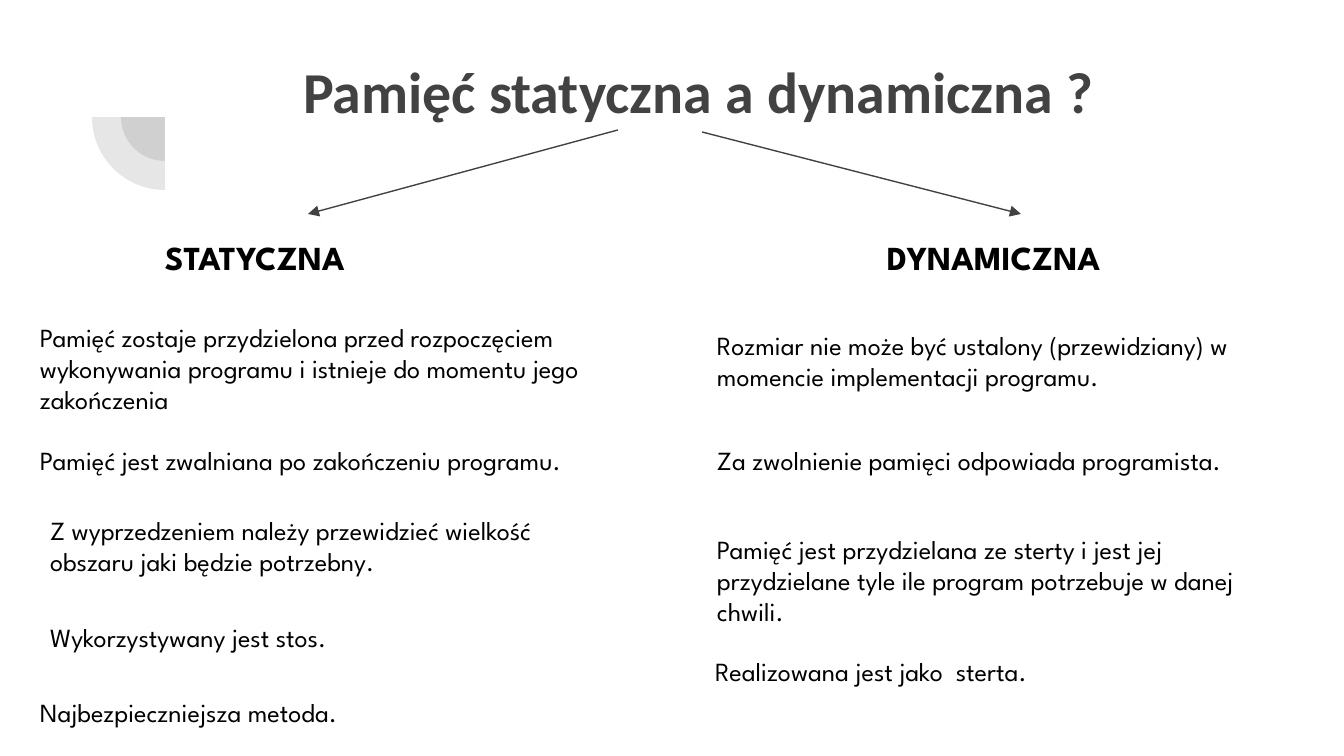
from lxml.etree import SubElement
from pptx import Presentation
from pptx.dml.color import RGBColor
from pptx.enum.shapes import MSO_CONNECTOR, MSO_SHAPE
from pptx.enum.text import MSO_ANCHOR, MSO_AUTO_SIZE, PP_ALIGN
from pptx.oxml.ns import qn
from pptx.util import Pt

GREY = RGBColor(0x42, 0x42, 0x42)
BLACK = RGBColor(0, 0, 0)
HEAD, BODY = "Calibri", "League Spartan"
SCALE = 9144000 / 1344  # EMU in one px
INSET = 13

TITLE = "Pamięć statyczna a dynamiczna ?"

# Column headings and notes: left, top, width, height, text
HEADS = [
    (152, 224, 292, 67, "STATYCZNA"),
    (874, 224, 292, 67, "DYNAMICZNA"),
]
NOTES = [
    (27, 308, 601, 122, "Pamięć zostaje przydzielona przed rozpoczęciem "
     "wykonywania programu i istnieje do momentu jego zakończenia"),
    (27, 431, 601, 59, "Pamięć jest zwalniana po zakończeniu programu."),
    (37, 501, 582, 90, "Z wyprzedzeniem należy przewidzieć wielkość "
     "obszaru jaki będzie potrzebny."),
    (37, 608, 482, 59, "Wykorzystywany jest stos."),
    (27, 683, 450, 59, "Najbezpieczniejsza metoda."),
    (704, 316, 601, 90, "Rozmiar nie może być ustalony (przewidziany) w "
     "momencie implementacji programu."),
    (704, 431, 567, 90, "Za zwolnienie pamięci odpowiada programista."),
    (704, 520, 601, 122, "Pamięć jest przydzielana ze sterty i jest jej "
     "przydzielane tyle ile program potrzebuje w danej chwili."),
    (702, 642, 442, 59, "Realizowana jest jako  sterta."),
]
ARROWS = [(618, 130, 308, 214), (702, 132, 1021, 214)]
HUB = (165, 117)
RINGS = [44, 73]  # radii of the quarter discs


def px(*nums):
    return [round(n * SCALE) for n in nums]


def write(shape, text, font, size, color, bold=False):
    frame = shape.text_frame
    frame.text = text
    frame.word_wrap = True
    frame.vertical_anchor = MSO_ANCHOR.TOP
    for side in ("left", "top", "right", "bottom"):
        setattr(frame, f"margin_{side}", px(INSET)[0])
    face = frame.paragraphs[0].runs[0].font
    face.name, face.size, face.bold = font, Pt(size), bold
    face.color.rgb = color
    return frame


deck = Presentation()
deck.slide_width, deck.slide_height = px(1344, 756)
slide = deck.slides.add_slide(deck.slide_layouts[5])
shapes = slide.shapes

# Quarter discs
for rad in RINGS:
    disc = shapes.add_shape(MSO_SHAPE.PIE, *px(
        HUB[0] - rad, HUB[1] - rad, 2 * rad, 2 * rad))
    disc.rotation = 270
    disc.adjustments[0], disc.adjustments[1] = 108, 162
    disc.shadow.inherit = False
    disc.line.fill.background()
    disc.fill.solid()
    disc.fill.fore_color.rgb = GREY
    tint = disc.fill._xPr.find(".//" + qn("a:srgbClr"))
    SubElement(tint, qn("a:alpha"), val="13000")

# Title
title = shapes.title
title.left, title.top, title.width, title.height = px(181, 43, 1034, 146)
frame = write(title, TITLE, HEAD, 31, GREY, True)
frame.auto_size = MSO_AUTO_SIZE.NONE
frame.paragraphs[0].alignment = PP_ALIGN.CENTER

# Arrows from the title to the columns
for ends in ARROWS:
    arrow = shapes.add_connector(MSO_CONNECTOR.STRAIGHT, *px(*ends))
    arrow.line.color.rgb = GREY
    arrow.line.width = Pt(0.75)
    SubElement(arrow.line._get_or_add_ln(), qn("a:tailEnd"), type="triangle")
    SubElement(arrow._element.spPr, qn("a:effectLst"))

# Headings and notes
for group, size, bold in ((HEADS, 18, True), (NOTES, 14, False)):
    for *area, text in group:
        box = shapes.add_textbox(*px(*area))
        frame = write(box, text, BODY, size, BLACK, bold)
        frame.auto_size = MSO_AUTO_SIZE.SHAPE_TO_FIT_TEXT

deck.save("out.pptx")
